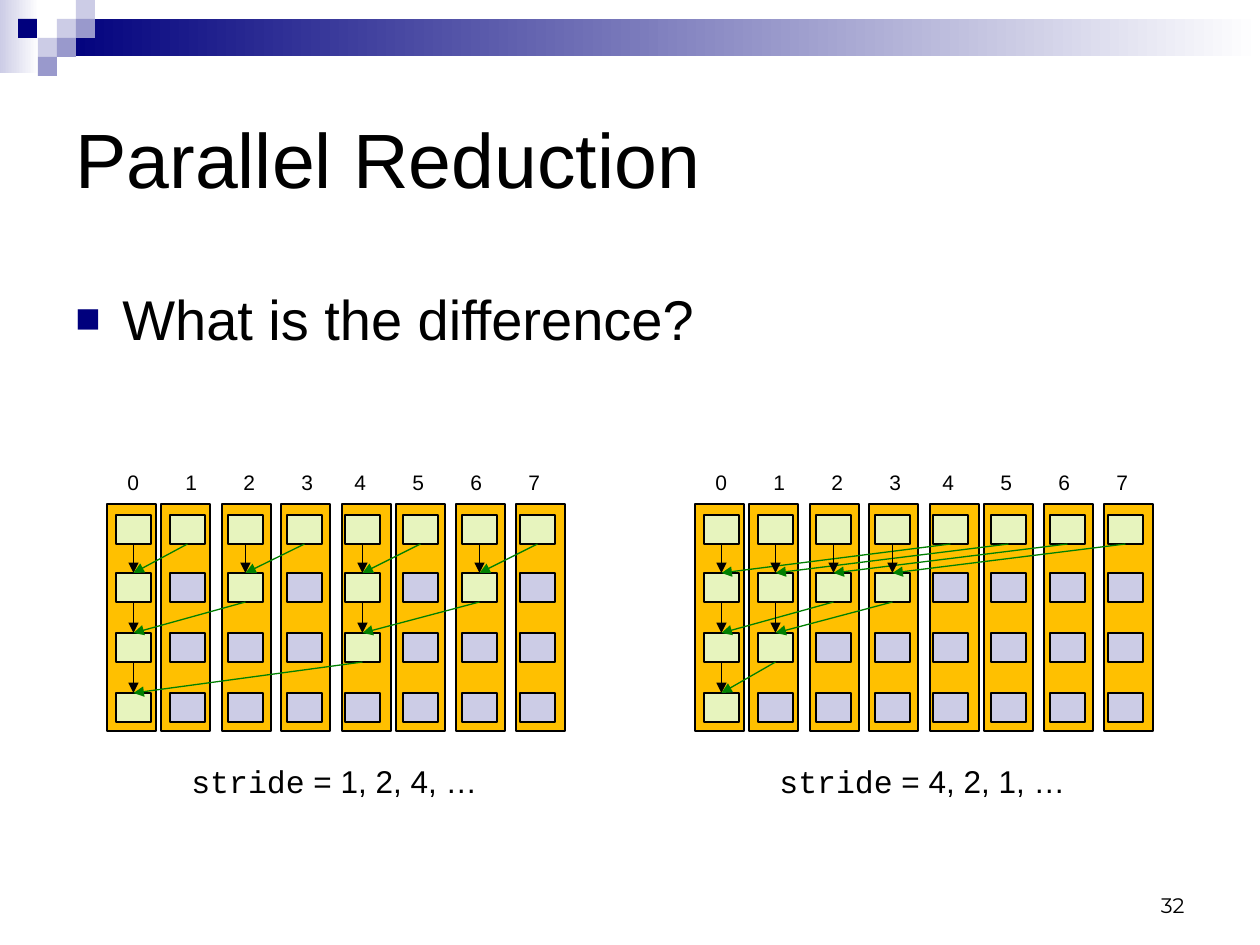
"""Build the slide comparing two stride orders of a parallel reduction."""
from lxml.etree import SubElement
from pptx import Presentation
from pptx.dml.color import RGBColor
from pptx.enum.shapes import MSO_CONNECTOR as Line, MSO_SHAPE as Shape
from pptx.enum.text import MSO_ANCHOR as Anchor, PP_ALIGN as Align
from pptx.oxml.ns import qn
from pptx.util import Pt

SCALE = 914400 / 126
COLORS = {"black": "000000", "white": "FFFFFF", "navy": "00007D", "lilac": "CCCCE6",
          "violet": "9999CC", "thread": "FFC000", "active": "E7F4BE", "idle": "CCCCE6",
          "add": "008000"}

TITLE = "Parallel Reduction"
QUESTION = "What is the difference?"
PAGE = "32"
REDUCTIONS = [
    {"left": 107, "strides": " = 1, 2, 4, …",
     "steps": [(1, range(0, 8, 2)), (2, range(0, 8, 4)), (4, range(1))]},
    {"left": 695, "strides": " = 4, 2, 1, …",
     "steps": [(4, range(4)), (2, range(2)), (1, range(1))]},
]
HEADER_BANDS = [((0, 0, 39, 73), "lilac"), ((57, 19, 1203, 37), "navy")]
HEADER_SQUARES = [(57, 19, "lilac"), (76, 0, "lilac"), (76, 19, "violet"), (38, 38, "lilac"),
                  (18, 19, "navy"), (57, 38, "violet"), (38, 57, "violet")]
SQUARE = 19
THREAD_X = [0, 54, 115, 174, 235, 289, 349, 409]
CELL_X = [9, 63, 121, 180, 238, 296, 355, 413]
CELL_Y = [515, 573, 633, 693]
NUMBER_TABS = [58, 116, 174, 227, 285, 343, 401]


def px(length):
    return round(length * SCALE)


def rgb(name):
    return RGBColor.from_string(COLORS[name])


def add_box(shapes, place, color, outlined=False):
    box = shapes.add_shape(Shape.RECTANGLE, *map(px, place))
    box.shadow.inherit = False
    box.fill.solid()
    box.fill.fore_color.rgb = rgb(color)
    if outlined:
        box.line.color.rgb = rgb("black")
        box.line.width = Pt(0.75)
    else:
        box.line.fill.background()
    return box


def add_band(shapes, place, color):
    fill = add_box(shapes, place, color).fill
    fill.gradient()
    fill.gradient_angle = 0
    for stop, name in zip(fill.gradient_stops, (color, "white")):
        stop.color.rgb = rgb(name)


def add_arrow(shapes, source, target, color):
    arrow = shapes.add_connector(
        Line.STRAIGHT, source.left + source.width // 2, source.top + source.height,
        target.left + target.width // 2, target.top)
    arrow.begin_connect(source, 2)
    arrow.end_connect(target, 0)
    arrow.line.color.rgb = rgb(color)
    arrow.line.width = Pt(0.75)
    SubElement(arrow.line._get_or_add_ln(), qn("a:tailEnd"), type="triangle")
    SubElement(arrow._element.spPr, qn("a:effectLst"))


def add_text(slide, place, runs, size, anchor=Anchor.TOP, align=Align.LEFT):
    frame = slide.shapes.add_textbox(*map(px, place)).text_frame
    frame.word_wrap = True
    frame.vertical_anchor = anchor
    paragraph = frame.paragraphs[0]
    paragraph.alignment = align
    for text, font in runs:
        run = paragraph.add_run()
        run.text = text
        run.font.name = font
        run.font.size = Pt(size)
        run.font.color.rgb = rgb("black")
    return paragraph


def add_bullet(paragraph):
    props = paragraph._p.get_or_add_pPr()
    props.set("marL", str(px(47)))
    props.set("indent", str(px(-47)))
    SubElement(SubElement(props, qn("a:buClr")), qn("a:srgbClr"), val=COLORS["navy"])
    SubElement(props, qn("a:buSzPct"), val="75000")
    SubElement(props, qn("a:buFont"), typeface="Arial")
    SubElement(props, qn("a:buChar"), char="■")


def add_reduction(slide, left, strides, steps):
    shapes = slide.shapes.add_group_shape().shapes
    for x in THREAD_X:
        add_box(shapes, (left + x, 504, 49, 227), "thread", True)
    active = [range(len(CELL_X))] + [targets for _, targets in steps]
    cells = [[add_box(shapes, (left + x, y, 35, 29),
                      "active" if column in used else "idle", True)
              for column, x in enumerate(CELL_X)]
             for y, used in zip(CELL_Y, active)]
    for (stride, targets), above, below in zip(steps, cells, cells[1:]):
        for column in targets:
            add_arrow(shapes, above[column], below[column], "black")
            add_arrow(shapes, above[column + stride], below[column], "add")

    numbers = "\t".join(map(str, range(len(THREAD_X))))
    heading = add_text(slide, (left + 8, 463, 447, 38), [(numbers, "Arial")], 12)
    tabs = SubElement(heading._p.get_or_add_pPr(), qn("a:tabLst"))
    for stop in NUMBER_TABS:
        SubElement(tabs, qn("a:tab"), pos=str(px(stop)), algn="l")
    add_text(slide, (left + 72, 756, 314, 51),
             [("stride", "Courier New"), (strides, "Arial")], 18)


def main():
    deck = Presentation()
    deck.slide_width, deck.slide_height = px(1260), px(945)
    slide = deck.slides.add_slide(deck.slide_layouts[6])
    header = slide.shapes.add_group_shape().shapes
    for place, color in HEADER_BANDS:
        add_band(header, place, color)
    for x, y, color in HEADER_SQUARES:
        add_box(header, (x, y, SQUARE, SQUARE), color)
    add_text(slide, (63, 63, 1134, 189), [(TITLE, "Arial")], 44, Anchor.MIDDLE)
    for reduction in REDUCTIONS:
        add_reduction(slide, **reduction)
    add_bullet(add_text(slide, (63, 278, 1134, 252), [(QUESTION, "Arial")], 32))
    add_text(slide, (903, 861, 294, 63), [(PAGE, "Montserrat")], 12, Anchor.BOTTOM, Align.RIGHT)
    deck.save("out.pptx")


if __name__ == "__main__":
    main()
